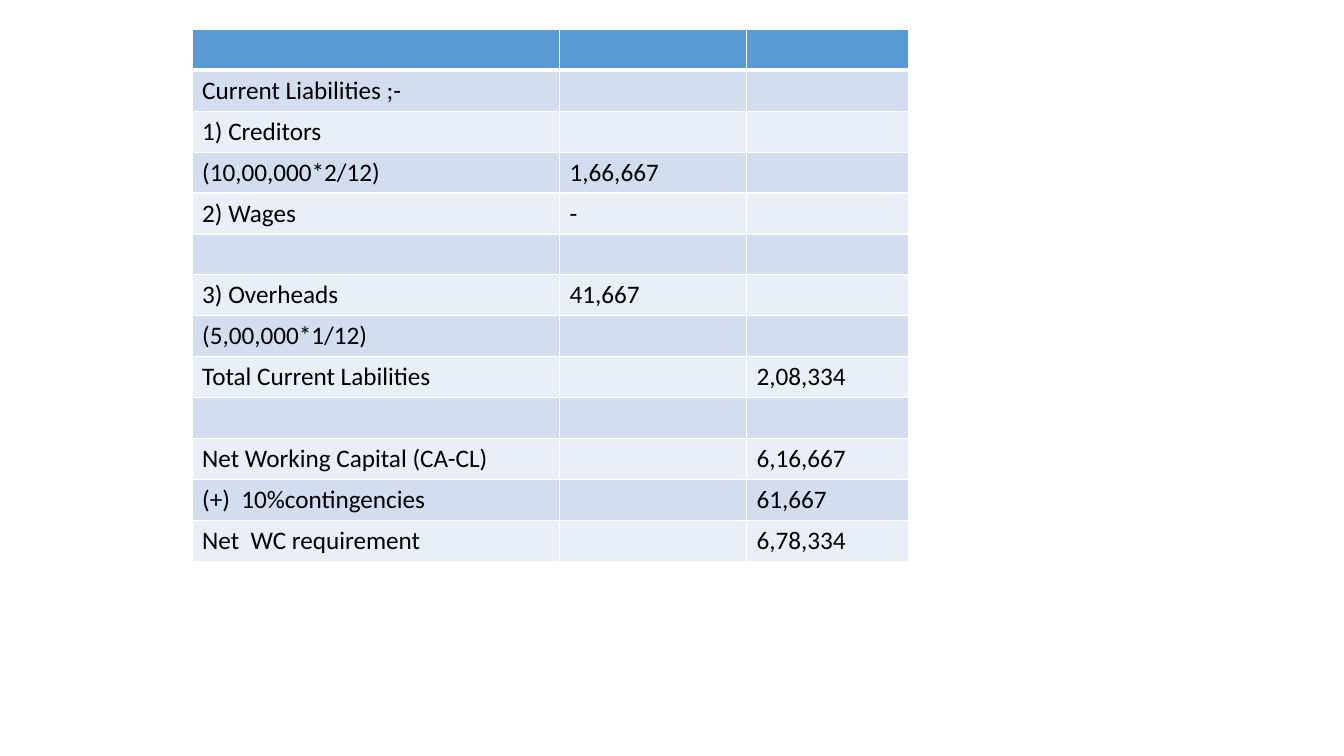
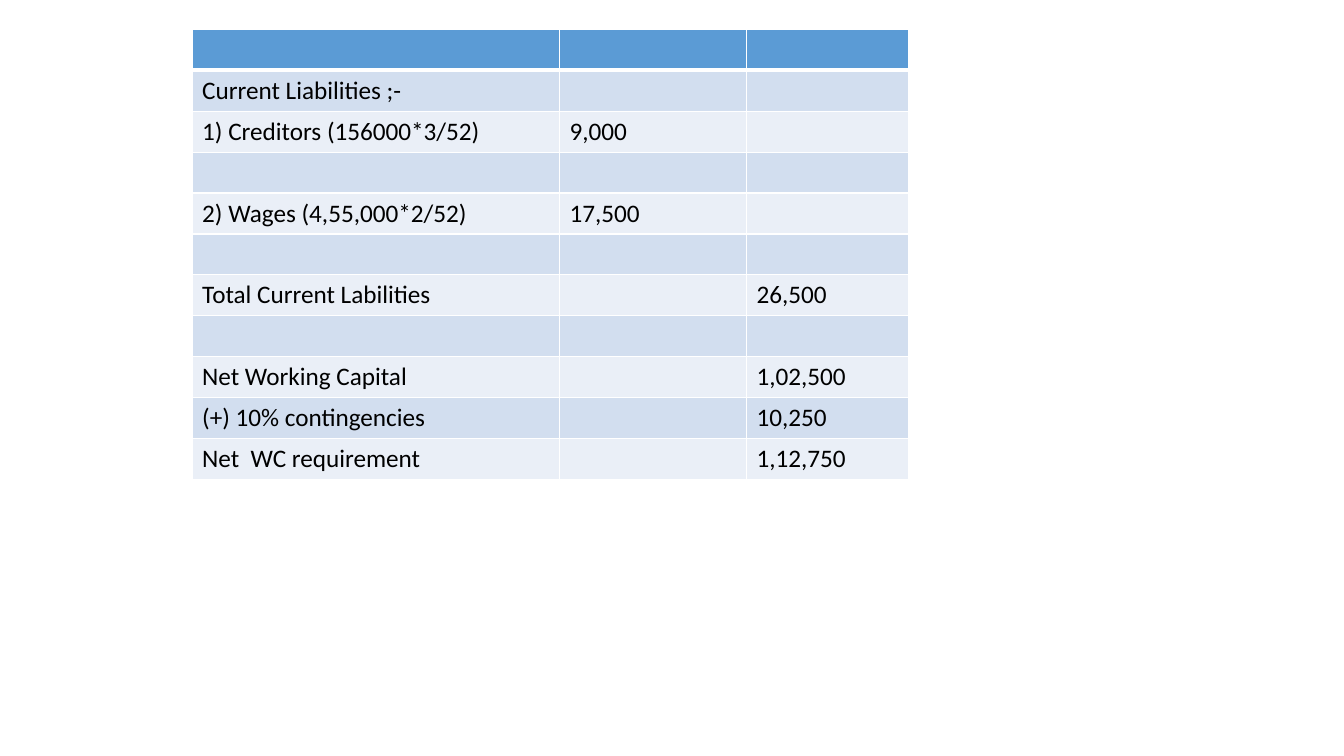
import pptx
import pptx.dml.color
import pptx.oxml
import pptx.oxml.ns
import pptx.util

PX = 9525
SLIDE_W, SLIDE_H = 1280, 720
TABLE_LEFT, TABLE_TOP = 183, 28
COLUMN_WIDTHS = [350, 178, 154]
ROW_HEIGHT = 39
HEADER_FILL = "5B9BD5"
BAND_FILLS = ["EAEFF7", "D2DEEF"]
BORDER_COLOR, TEXT_COLOR = "FFFFFF", "000000"
THIN, THICK = 1, 3
FONT_FORMAT = {"name": "Calibri", "size": pptx.util.Pt(18), "bold": False}

FIRST_LIABILITIES = [
    ("", "", ""),
    ("Current Liabilities ;-", "", ""),
    ("1) Creditors", "", ""),
    ("(10,00,000*2/12)", "1,66,667", ""),
    ("2) Wages", "-", ""),
    ("", "", ""),
    ("3) Overheads", "41,667", ""),
    ("(5,00,000*1/12)", "", ""),
    ("Total Current Labilities", "", "2,08,334"),
    ("", "", ""),
    ("Net Working Capital (CA-CL)", "", "6,16,667"),
    ("(+)  10%contingencies", "", "61,667"),
    ("Net  WC requirement", "", "6,78,334"),
]
SECOND_LIABILITIES = [
    ("", "", ""),
    ("Current Liabilities ;-", "", ""),
    ("1) Creditors (156000*3/52)", "9,000", ""),
    ("", "", ""),
    ("2) Wages (4,55,000*2/52)", "17,500", ""),
    ("", "", ""),
    ("Total Current Labilities", "", "26,500"),
    ("", "", ""),
    ("Net Working Capital", "", "1,02,500"),
    ("(+) 10% contingencies", "", "10,250"),
    ("Net  WC requirement", "", "1,12,750"),
]


def px(n):
    """Turn pixels into EMU."""
    return pptx.util.Emu(n * PX)


def rgb(color):
    """Turn a hex string into a colour."""
    return pptx.dml.color.RGBColor.from_string(color)


def set_borders(cell, top, bottom):
    """Draw the four borders of a cell, with widths in points."""
    tc_pr = cell._tc.get_or_add_tcPr()
    for side, width in {"L": THIN, "R": THIN, "T": top, "B": bottom}.items():
        tc_pr.append(pptx.oxml.parse_xml(
            f'<a:ln{side} {pptx.oxml.ns.nsdecls("a")} w="{pptx.util.Pt(width)}">'
            f'<a:solidFill><a:srgbClr val="{BORDER_COLOR}"/></a:solidFill>'
            f'</a:ln{side}>'))


def set_text(cell, text):
    """Write formatted text into a cell."""
    r = cell.text_frame.paragraphs[0].add_run()
    r.text = text
    for name, value in FONT_FORMAT.items():
        setattr(r.font, name, value)
    r.font.color.rgb = rgb(TEXT_COLOR)


def add_statement(s, left, top, rows):
    """Place a banded statement table at the given corner."""
    table = s.shapes.add_table(
        len(rows), len(COLUMN_WIDTHS), px(left), px(top),
        px(sum(COLUMN_WIDTHS)), px(ROW_HEIGHT * len(rows))).table
    table.first_row = table.horz_banding = False
    for column, width in zip(table.columns, COLUMN_WIDTHS):
        column.width = px(width)
    for i, row in enumerate(rows):
        table.rows[i].height = px(ROW_HEIGHT)
        for j, text in enumerate(row):
            cell = table.cell(i, j)
            set_borders(cell, THICK if i == 1 else THIN, THICK if i == 0 else THIN)
            cell.fill.solid()
            cell.fill.fore_color.rgb = rgb(BAND_FILLS[i % 2] if i else HEADER_FILL)
            if text:
                set_text(cell, text)


def main():
    """Build and save the presentation."""
    prs = pptx.Presentation()
    prs.slide_width, prs.slide_height = px(SLIDE_W), px(SLIDE_H)
    for rows in (FIRST_LIABILITIES, SECOND_LIABILITIES):
        s = prs.slides.add_slide(prs.slide_layouts[6])
        add_statement(s, TABLE_LEFT, TABLE_TOP, rows)
    prs.save("out.pptx")


if __name__ == "__main__":
    main()
